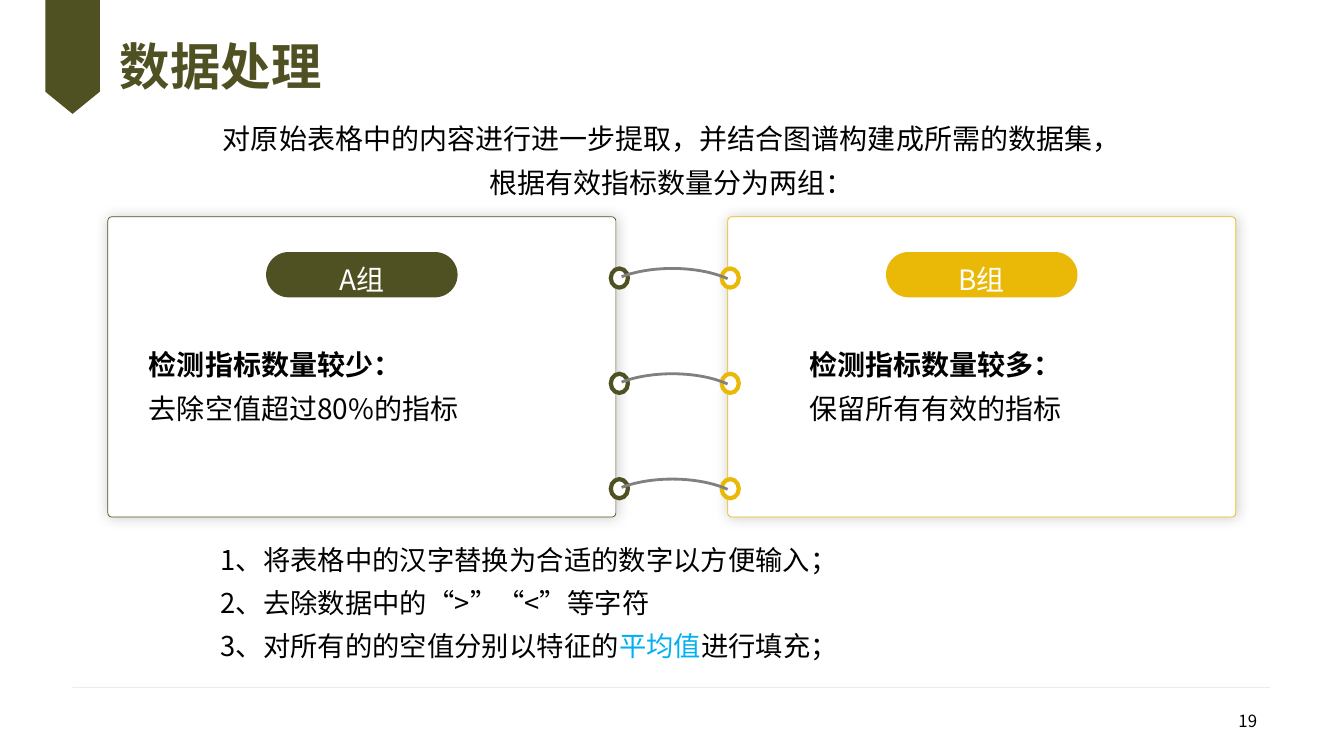
from dataclasses import dataclass

from lxml import etree
from pptx import Presentation
from pptx import util as u
from pptx.dml import color
from pptx.enum import shapes, text
from pptx.oxml import ns

FONT = "Noto Sans CJK SC"
OLIVE, GOLD, WHITE, BLACK = "505122", "EAB908", "FFFFFF", "000000"
GRAY, PALE_GRAY, BLUE = "808080", "BFBFBF", "00B0F0"
LEFT, CENTER, RIGHT = text.PP_ALIGN.LEFT, text.PP_ALIGN.CENTER, text.PP_ALIGN.RIGHT


@dataclass(frozen=True)
class Box:
    left: float
    top: float
    width: float
    height: float

    def lengths(self) -> list[u.Length]:
        return [u.Pt(v) for v in (self.left, self.top, self.width, self.height)]


@dataclass(frozen=True)
class Span:
    words: str
    bold: bool = False
    color: str = BLACK


@dataclass(frozen=True)
class Group:
    name: str
    color: str
    panel_left: float
    ring_left: float
    body: Box
    heading: str
    rule: str


GROUPS = [
    Group("A组", OLIVE, 77.04, 436.32, Box(99.36, 232.56, 321.84, 79.2),
          "检测指标数量较少：", "去除空值超过80%的指标"),
    Group("B组", GOLD, 519.84, 515.52, Box(570.96, 232.56, 272.16, 79.2),
          "检测指标数量较多：", "保留所有有效的指标"),
]
RING_TOPS = [191.76 + 75.24 * row for row in range(3)]


def rgb(value: str) -> color.RGBColor:
    return color.RGBColor.from_string(value)


def add_child(parent, tag: str, **attributes: str):
    return etree.SubElement(parent, ns.qn(tag), attributes)


def style(shape, fill: str | None, line: str | None = None, weight: float = 0) -> None:
    shape.shadow.inherit = False
    if fill:
        shape.fill.solid()
        shape.fill.fore_color.rgb = rgb(fill)
    else:
        shape.fill.background()
    if line:
        shape.line.color.rgb = rgb(line)
        shape.line.width = u.Pt(weight)
    else:
        shape.line.fill.background()


def add_shape(slide, kind, box: Box, fill: str | None, line: str | None = None,
              weight: float = 0, adjustments: tuple[float, ...] = ()):
    shape = slide.shapes.add_shape(kind, *box.lengths())
    for index, value in enumerate(adjustments):
        shape.adjustments[index] = value
    style(shape, fill, line, weight)
    return shape


def write(shape, lines: list[list[Span]], size: float, align=LEFT,
          spacing: float = 1.3, inset: bool = True) -> None:
    frame = shape.text_frame
    frame.word_wrap = True
    frame.vertical_anchor = text.MSO_ANCHOR.MIDDLE
    if not inset:
        frame.margin_left = frame.margin_right = u.Pt(0)
        frame.margin_top = frame.margin_bottom = u.Pt(0)
    for index, spans in enumerate(lines):
        paragraph = frame.add_paragraph() if index else frame.paragraphs[0]
        paragraph.alignment = align
        paragraph.line_spacing = spacing
        for span in spans:
            run = paragraph.add_run()
            run.text = span.words
            run.font.size = u.Pt(size)
            run.font.bold = span.bold
            run.font.name = FONT
            run.font.color.rgb = rgb(span.color)
            add_child(run.font._element, "a:ea", typeface=FONT)


def add_text(slide, box: Box, lines: list[list[Span]], size: float, align=LEFT,
             spacing: float = 1.3, inset: bool = True) -> None:
    write(slide.shapes.add_textbox(*box.lengths()), lines, size, align, spacing, inset)


def add_glow(shape) -> None:
    effects = shape._element.spPr.find(ns.qn("a:effectLst"))
    shadow = add_child(effects, "a:outerShdw", blurRad=str(u.Pt(10)), dist="0",
                       dir="0", algn="ctr", rotWithShape="0")
    tint = add_child(shadow, "a:srgbClr", val=BLACK)
    add_child(tint, "a:alpha", val="20000")


def add_frame(slide) -> None:
    # Footer rule
    rule = slide.shapes.add_connector(shapes.MSO_CONNECTOR.STRAIGHT, u.Pt(51.84),
                                      u.Pt(491.04), u.Pt(907.2), u.Pt(491.04))
    rule.line.color.rgb = rgb(PALE_GRAY)
    rule.line.width = u.Pt(0.25)
    tint = rule._element.spPr.find(".//" + ns.qn("a:srgbClr"))
    add_child(tint, "a:alpha", val="47000")
    add_child(rule._element.spPr, "a:effectLst")

    # Ribbon
    corners = [(71.28, -7.92), (71.28, 65.52), (51.84, 81.36), (32.4, 65.52), (32.4, -7.92)]
    points = [(u.Pt(x), u.Pt(y)) for x, y in corners]
    builder = slide.shapes.build_freeform(*points[0])
    builder.add_line_segments(points[1:], close=True)
    style(builder.convert_to_shape(), OLIVE)


def add_group(slide, group: Group) -> None:
    rounded = shapes.MSO_SHAPE.ROUNDED_RECTANGLE
    panel = add_shape(slide, rounded, Box(group.panel_left, 154.8, 362.88, 214.56),
                      WHITE, group.color, 0.5, (0.014,))
    add_glow(panel)
    label = add_shape(slide, rounded, Box(group.panel_left + 113.04, 180, 136.8, 32.4),
                      group.color, adjustments=(0.5,))
    write(label, [[Span(group.name, color=WHITE)]], 20, CENTER)
    add_text(slide, group.body, [[Span(group.heading, bold=True)], [Span(group.rule)]], 20)
    for top in RING_TOPS:
        add_shape(slide, shapes.MSO_SHAPE.OVAL, Box(group.ring_left, top, 12.24, 13.68),
                  WHITE, group.color, 3)


def main() -> None:
    presentation = Presentation()
    presentation.slide_width, presentation.slide_height = u.Pt(960), u.Pt(540)
    slide = presentation.slides.add_slide(presentation.slide_layouts[6])
    add_frame(slide)

    # Title, introduction and page number
    add_text(slide, Box(85.68, 18.72, 642.96, 61.92), [[Span("数据处理", True, OLIVE)]],
             36, spacing=0.9, inset=False)
    add_text(slide, Box(77.04, 74.88, 805.68, 72), [
        [Span("对原始表格中的内容进行进一步提取，并结合图谱构建成所需的数据集，")],
        [Span("根据有效指标数量分为两组：")],
    ], 20, CENTER)
    add_text(slide, Box(689.04, 500.4, 216, 28.8), [[Span("19")]], 12, RIGHT, 1.0)

    # Two panels joined by binder arcs
    for group in GROUPS:
        add_group(slide, group)
    for top in RING_TOPS:
        add_shape(slide, shapes.MSO_SHAPE.ARC, Box(426.96, top, 106.56, 44.64),
                  None, GRAY, 2, (122.609, 203.524))

    # Processing steps
    add_text(slide, Box(150.48, 377.28, 732.24, 99.36), [
        [Span("1、将表格中的汉字替换为合适的数字以方便输入；")],
        [Span("2、去除数据中的“>”“<”等字符")],
        [Span("3、对所有的的空值分别以特征的"), Span("平均值", color=BLUE), Span("进行填充；")],
    ], 19.5)
    presentation.save("out.pptx")


if __name__ == "__main__":
    main()
